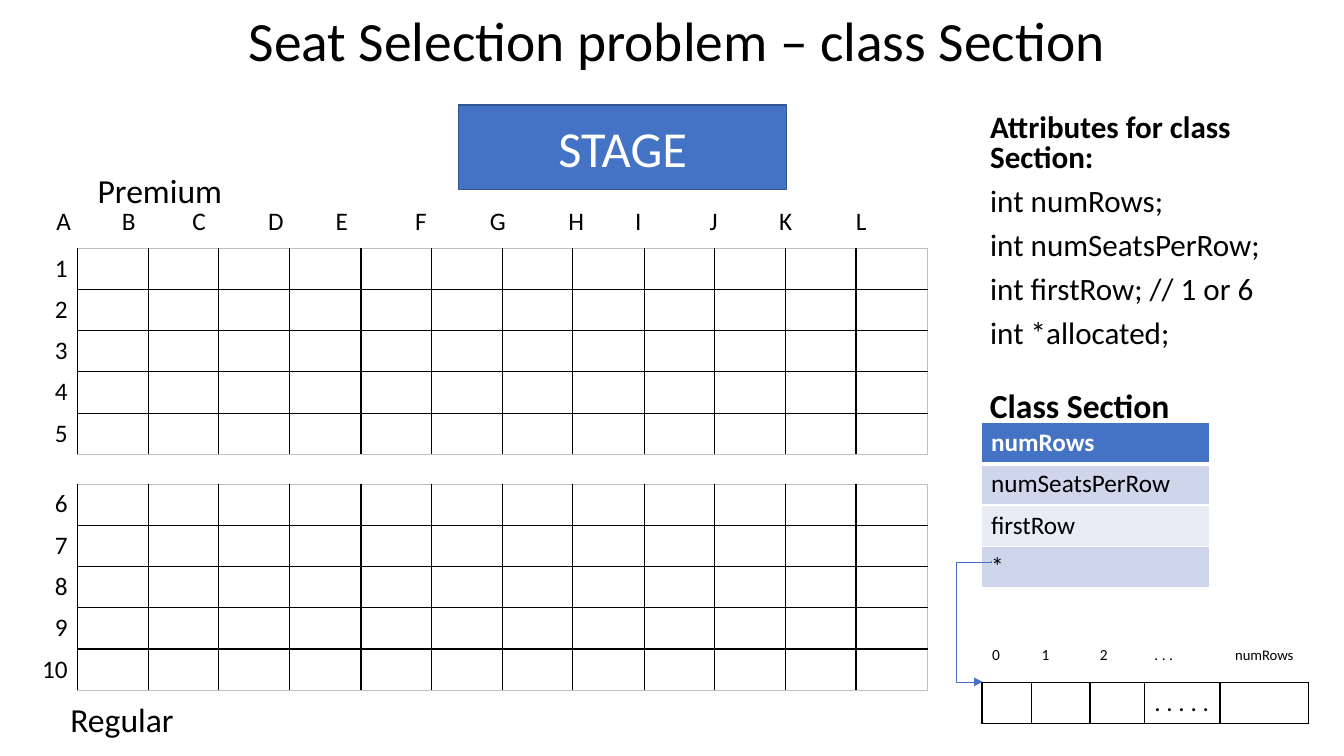
from dataclasses import dataclass

from lxml.etree import SubElement
from pptx import Presentation
from pptx.dml.color import RGBColor
from pptx.enum.shapes import MSO_CONNECTOR as Conn, MSO_SHAPE as Shape
from pptx.enum.text import MSO_ANCHOR as Anchor, MSO_AUTO_SIZE as AutoSize, PP_ALIGN as Align
from pptx.oxml.ns import qn
from pptx.util import Pt


@dataclass(frozen=True)
class Theme:
    font: str = "Calibri"
    ink: str = "000000"
    paper: str = "FFFFFF"
    accent: str = "4472C4"
    accent_dark: str = "325491"
    band_dark: str = "CFD5EA"
    band_light: str = "E9EBF5"
    edge: str = "BFBFBF"
    title: float = 39.6
    stage: float = 36
    heading: float = 24
    body: float = 22.2
    label: float = 18
    index: float = 11
    index_small: float = 10.5


T = Theme()
EMU_PER_PX = 9144
ROW_H = 41
NO_STYLE = "{2D5ABB26-0587-4C30-8999-92F81FD0307C}"


def px(*lengths):
    return [n * EMU_PER_PX for n in lengths]


def rgb(color):
    return RGBColor.from_string(color)


def style(p, size, color=T.ink, bold=False, align=Align.LEFT):
    p.alignment = align
    for r in p.runs:
        f = r.font
        f.name, f.size, f.bold = T.font, Pt(size), bold
        f.color.rgb = rgb(color)


def add_label(s, box, text, size, bold=False):
    tf = s.shapes.add_textbox(*px(*box)).text_frame
    tf.word_wrap = True
    tf.text = text
    p = tf.paragraphs[0]
    style(p, size, bold=bold)
    return p


def add_table(s, x, y, widths, rows):
    frame = s.shapes.add_table(rows, len(widths), *px(x, y, sum(widths), rows * ROW_H))
    next(frame.element.iter(qn("a:tableStyleId"))).text = NO_STYLE
    table = frame.table
    for col, width in zip(table.columns, px(*widths)):
        col.width = width
    return table


def set_cell(cell, text="", size=T.label, color=T.ink, bold=False,
             align=Align.LEFT, fill=None, borders=None):
    cell.text = text
    style(cell.text_frame.paragraphs[0], size, color, bold, align)
    tc_pr = cell._tc.get_or_add_tcPr()
    for side in "LRTB":
        if borders and side in borders:
            line_color, width = borders[side]
            ln = SubElement(tc_pr, qn(f"a:ln{side}"), w=str(Pt(width)))
            solid = SubElement(ln, qn("a:solidFill"))
            SubElement(solid, qn("a:srgbClr"), val=line_color)
    if fill:
        cell.fill.solid()
        cell.fill.fore_color.rgb = rgb(fill)
    else:
        cell.fill.background()


def draw_title(s, box):
    sp = s.shapes.title
    sp.left, sp.top, sp.width, sp.height = px(*box)
    tf = sp.text_frame
    tf.text = "Seat Selection problem – class Section"
    tf.auto_size = AutoSize.NONE
    tf.vertical_anchor = Anchor.MIDDLE
    p = tf.paragraphs[0]
    p.line_spacing = 0.9
    style(p, T.title, align=Align.CENTER)


def draw_attributes(s, box):
    sp = s.placeholders[1]
    sp.left, sp.top, sp.width, sp.height = px(*box)
    tf = sp.text_frame
    tf.text = "\n".join(["Attributes for class Section:", "int numRows;", "int numSeatsPerRow;",
                         "int firstRow; // 1 or 6", "int *allocated;"])
    tf.auto_size = AutoSize.NONE
    for i, p in enumerate(tf.paragraphs):
        p.line_spacing = 0.8
        p.space_before = Pt(10)
        style(p, T.body, bold=i == 0)
        p_pr = p._p.get_or_add_pPr()
        p_pr.set("marL", "0")
        p_pr.set("indent", "0")
        SubElement(p_pr, qn("a:buNone"))


def draw_stage(s, box):
    sp = s.shapes.add_shape(Shape.RECTANGLE, *px(*box))
    sp.shadow.inherit = False
    sp.fill.solid()
    sp.fill.fore_color.rgb = rgb(T.accent)
    sp.line.color.rgb = rgb(T.accent_dark)
    sp.line.width = Pt(1)
    tf = sp.text_frame
    tf.text = "STAGE"
    tf.vertical_anchor = Anchor.MIDDLE
    style(tf.paragraphs[0], T.stage, T.paper, align=Align.CENTER)


def draw_seat_letters(s, box):
    p = add_label(s, box, "\t".join("ABCDEFGHIJKL"), T.label)
    tabs = SubElement(p._p.get_or_add_pPr(), qn("a:tabLst"))
    for stop in px(65, 135, 210, 277, 356, 430, 508, 574, 648, 717, 793):
        SubElement(tabs, qn("a:tab"), pos=str(stop), algn="l")


def draw_seats(s, box, first_row, rows=5, seats=12):
    x, y, width = box
    columns = seats + 1
    edges = [width * j // columns for j in range(columns + 1)]
    widths = [right - left for left, right in zip(edges, edges[1:])]
    table = add_table(s, x, y, widths, rows)
    inner, outer = (T.ink, 1), (T.edge, 0.5)
    for i in range(rows):
        set_cell(table.cell(i, 0), str(first_row + i), align=Align.RIGHT, borders={"R": inner})
        for j in range(1, columns):
            set_cell(table.cell(i, j), borders={
                "L": inner,
                "R": outer if j == seats else inner,
                "T": outer if i == 0 else inner,
                "B": outer if i == rows - 1 else inner,
            })


def draw_class(s, x, y):
    add_label(s, (x - 1, y - 42, 227, 50), "Class Section", T.heading, bold=True)
    fields = ["numRows", "numSeatsPerRow", "firstRow", "*"]
    fills = [T.accent, T.band_dark, T.band_light, T.band_dark]
    table = add_table(s, x, y, [227], len(fields))
    for i, (field, fill) in enumerate(zip(fields, fills)):
        borders = dict.fromkeys("LRTB", (T.paper, 1))
        if i < 2:
            borders["B" if i == 0 else "T"] = (T.paper, 3)
        set_cell(table.cell(i, 0), field, color=T.ink if i else T.paper,
                 bold=i == 0, fill=fill, borders=borders)


def draw_array(s, x, y):
    table = add_table(s, x, y, [49, 58, 54, 75, 88], 2)
    line = (T.ink, 1)
    for j, index in enumerate(["0", "1", "2", ". . .", "numRows"]):
        last = j == 4
        set_cell(table.cell(0, j), index, T.index_small if last else T.index,
                 align=Align.CENTER if last else Align.LEFT, borders={"B": line})
        set_cell(table.cell(1, j), ". . . . ." if j == 3 else "",
                 borders=dict.fromkeys("LRTB", line))


def draw_pointer(s, x, y, length, depth):
    c = s.shapes.add_connector(Conn.ELBOW, *px(x, y, x + length, y + depth))
    c.line.color.rgb = rgb(T.accent)
    c.line.width = Pt(0.5)
    sp_pr = c.element.spPr
    sp_pr.find(qn("a:xfrm")).set("rot", "5400000")
    geom = sp_pr.find(qn("a:prstGeom"))
    geom.set("prst", "bentConnector4")
    guides = geom.find(qn("a:avLst"))
    for name, value in (("adj1", 1400), ("adj2", 387500)):
        SubElement(guides, qn("a:gd"), name=name, fmla=f"val {value}")
    SubElement(sp_pr.find(qn("a:ln")), qn("a:tailEnd"), type="triangle")
    SubElement(sp_pr, qn("a:effectLst"))


def main():
    prs = Presentation()
    prs.slide_width, prs.slide_height = px(1333, 750)
    s = prs.slides.add_slide(prs.slide_layouts[1])
    draw_title(s, (30, 15, 1283, 57))
    draw_attributes(s, (972, 109, 325, 251))
    draw_stage(s, (455, 104, 325, 84))
    draw_seats(s, (7, 480, 913), first_row=6)
    draw_seats(s, (7, 246, 913), first_row=1)
    add_label(s, (87, 164, 145, 50), "Premium", T.heading)
    add_label(s, (60, 688, 124, 50), "Regular", T.heading)
    draw_seat_letters(s, (46, 199, 842, 40))
    draw_class(s, 973, 419)
    draw_array(s, 974, 636)
    draw_pointer(s, 919, 612, length=120, depth=9)
    prs.save("out.pptx")


if __name__ == "__main__":
    main()
